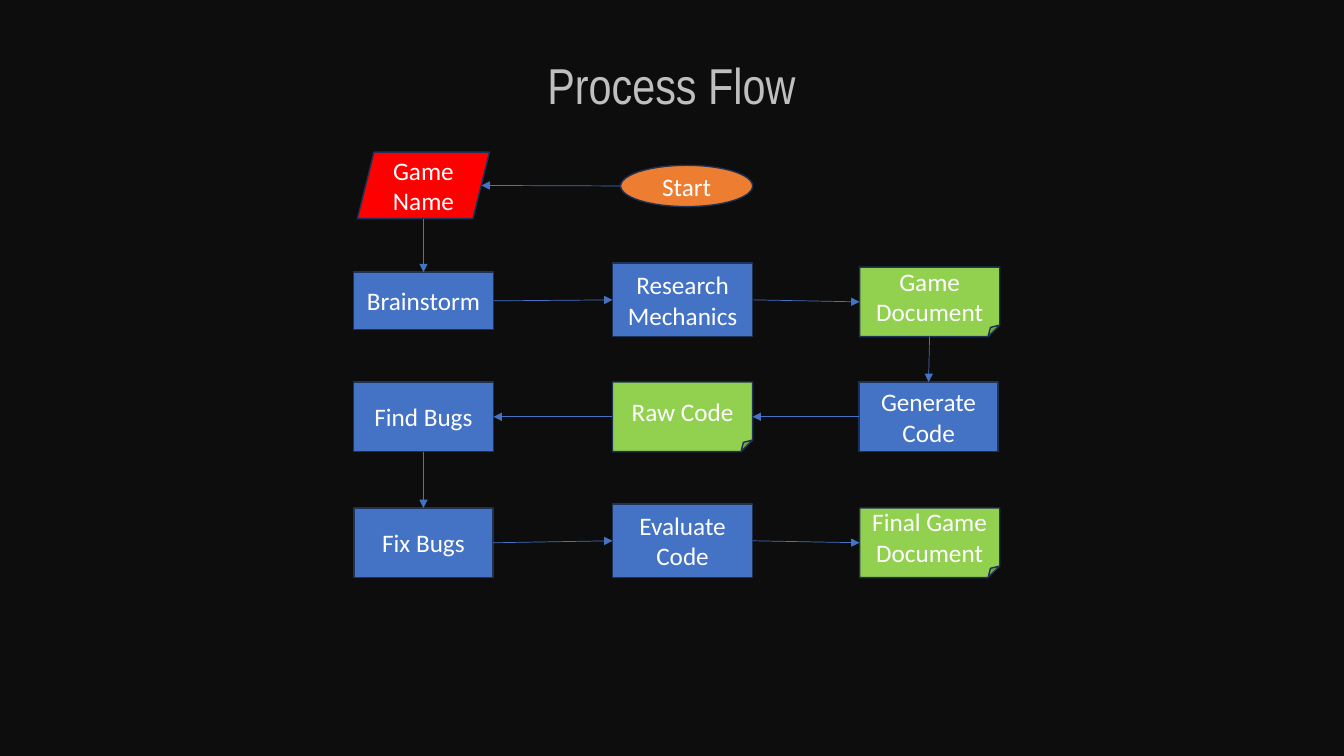
from lxml import etree
from pptx import Presentation
from pptx.dml.color import RGBColor
from pptx.enum import shapes, text
from pptx.oxml import ns
from pptx.util import Inches, Pt

TITLE = "Process Flow"
BACKGROUND, GREY, WHITE = "0D0D0D", "BFBFBF", "FFFFFF"
BLUE, NAVY = "4472C4", "1E3256"
KINDS = {
    "start": (shapes.MSO_SHAPE.OVAL, "ED7D31"),
    "input": (shapes.MSO_SHAPE.PARALLELOGRAM, "FF0000"),
    "step": (shapes.MSO_SHAPE.RECTANGLE, BLUE),
    "document": (shapes.MSO_SHAPE.FOLDED_CORNER, "92D050"),
}
TOP, LEFT, BOTTOM, RIGHT = range(4)
COLUMNS = (4.2, 6.77, 9.22)
WIDTH = 1.39
SLANT = 0.08

NODES = [
    ("start", ["Start"], 6.81, 1.64, 1.31, 0.41),
    ("input", ["Game", "Name"], COLUMNS[0], 1.51, 1.31, 0.66),
    ("step", ["Brainstorm"], COLUMNS[0], 2.7, WIDTH, 0.57),
    ("step", ["Research", "Mechanics"], COLUMNS[1], 2.61, WIDTH, 0.73),
    ("document", ["Game", "Document"], COLUMNS[2], 2.65, WIDTH, 0.69),
    ("step", ["Generate", "Code"], 9.21, 3.79, 1.38, 0.69),
    ("document", ["Raw Code"], COLUMNS[1], 3.79, WIDTH, 0.69),
    ("step", ["Find Bugs"], COLUMNS[0], 3.79, WIDTH, 0.69),
    ("step", ["Fix Bugs"], COLUMNS[0], 5.04, 1.38, 0.69),
    ("step", ["Evaluate", "Code"], COLUMNS[1], 5.0, WIDTH, 0.73),
    ("document", ["Final Game", "Document"], COLUMNS[2], 5.04, WIDTH, 0.69),
]
EXITS = [LEFT, BOTTOM, RIGHT, RIGHT, BOTTOM, LEFT, LEFT, BOTTOM, RIGHT, RIGHT]


def color(value):
    return RGBColor.from_string(value)


def write(para, words, font="Calibri", size=18, ink=WHITE):
    para.alignment = text.PP_ALIGN.CENTER
    span = para.add_run()
    span.text = words
    span.font.name = font
    span.font.size = Pt(size)
    span.font.color.rgb = color(ink)


def add_title(page):
    box = page.shapes.title
    box.left, box.top, box.width, box.height = map(Inches, (5.21, 0.49, 2.9, 0.71))
    frame = box.text_frame
    frame.word_wrap = False
    frame.auto_size = text.MSO_AUTO_SIZE.NONE
    frame.vertical_anchor = text.MSO_ANCHOR.TOP
    write(frame.paragraphs[0], TITLE, font="Arial Narrow", size=36, ink=GREY)


def add_node(page, kind, lines, center, top, width, height):
    preset, fill = KINDS[kind]
    box = page.shapes.add_shape(
        preset, *map(Inches, (center - width / 2, top, width, height)))
    box.shadow.inherit = False
    box.fill.solid()
    box.fill.fore_color.rgb = color(fill)
    box.line.color.rgb = color(NAVY)
    box.line.width = Pt(1)
    frame = box.text_frame
    frame.word_wrap = True
    frame.margin_left = frame.margin_right = Inches(0.05)
    frame.vertical_anchor = text.MSO_ANCHOR.MIDDLE
    for index, words in enumerate(lines):
        para = frame.add_paragraph() if index else frame.paragraphs[0]
        write(para, words)
    return box


def side_point(node, side):
    kind, _, center, top, width, height = node
    reach = width / 2 - (SLANT if kind == "input" else 0)
    x = center + {LEFT: -reach, RIGHT: reach}.get(side, 0)
    y = top + {TOP: 0, BOTTOM: height}.get(side, height / 2)
    return Inches(x), Inches(y)


def add_arrow(page, source, target, start_box, end_box, side):
    opposite = (side + 2) % 4
    arrow = page.shapes.add_connector(
        shapes.MSO_CONNECTOR.STRAIGHT,
        *side_point(source, side), *side_point(target, opposite))
    if source[0] in ("step", "document"):
        arrow.begin_connect(start_box, side)
    if target[0] in ("step", "document"):
        arrow.end_connect(end_box, opposite)
    arrow.line.color.rgb = color(BLUE)
    arrow.line.width = Pt(0.5)
    etree.SubElement(arrow.line._get_or_add_ln(), ns.qn("a:tailEnd"), type="triangle")
    etree.SubElement(arrow._element.spPr, ns.qn("a:effectLst"))


def main():
    deck = Presentation()
    deck.slide_width, deck.slide_height = Inches(13.33), Inches(7.5)
    page = deck.slides.add_slide(deck.slide_layouts[5])
    page.background.fill.solid()
    page.background.fill.fore_color.rgb = color(BACKGROUND)
    add_title(page)
    boxes = [add_node(page, *node) for node in NODES]
    for index, side in enumerate(EXITS):
        add_arrow(page, *NODES[index:index + 2], *boxes[index:index + 2], side)
    deck.save("out.pptx")


if __name__ == "__main__":
    main()
